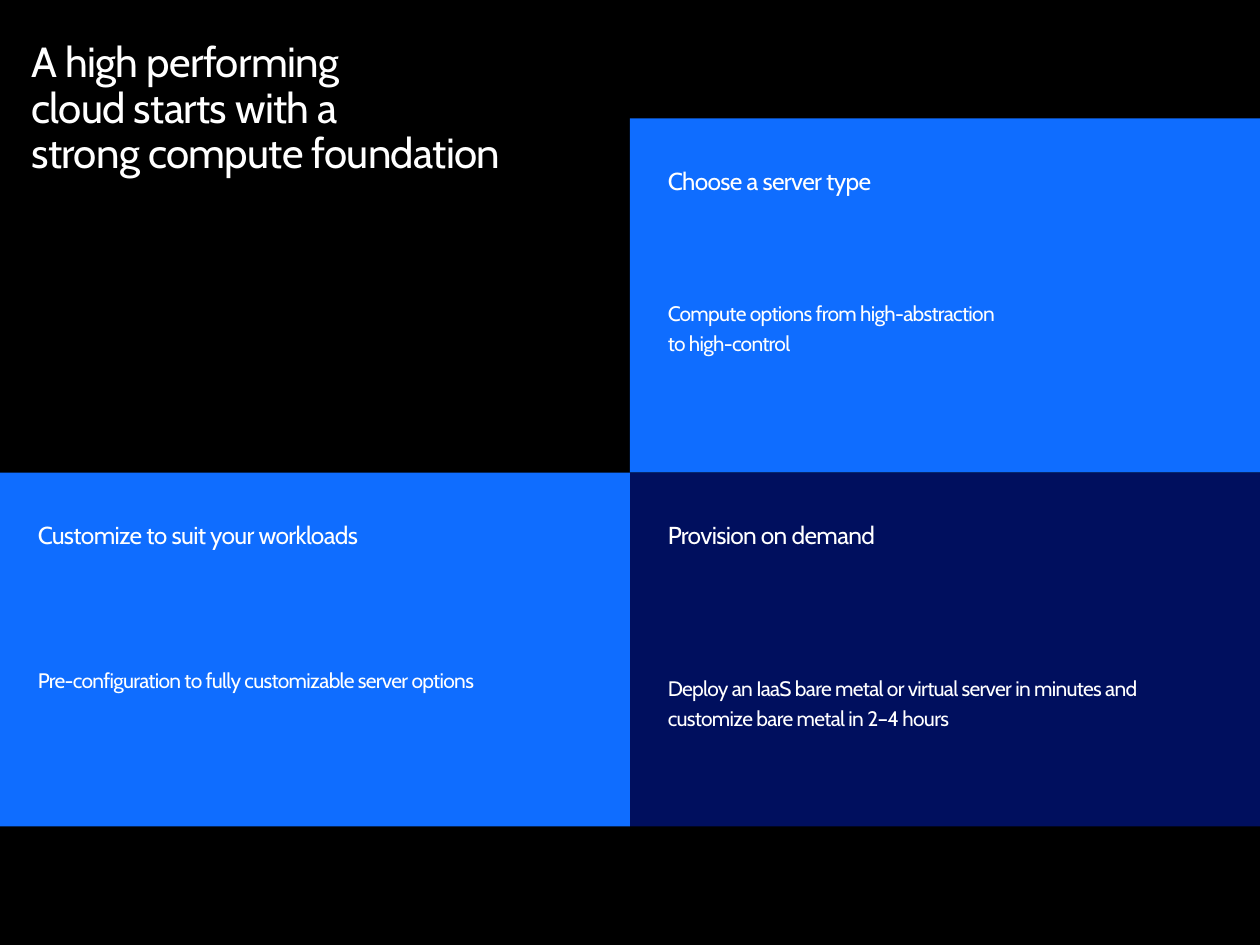
import pptx
import pptx.util
import pptx.dml.color
import pptx.enum.shapes
import pptx.enum.text

Inches = pptx.util.Inches
Pt = pptx.util.Pt
COLORS = {"back": "000000", "blue": "0F6DFF", "navy": "000F5E", "text": "FFFFFF"}
FONT = "Cabin"


def color(name):
    return pptx.dml.color.RGBColor.from_string(COLORS[name])


def frame(shape, side=0, top=0):
    text = shape.text_frame
    text.word_wrap = True
    text.vertical_anchor = pptx.enum.text.MSO_ANCHOR.TOP
    text.margin_left = text.margin_right = Inches(side)
    text.margin_top = text.margin_bottom = Inches(top)
    return text


def write(para, lines, size, spacing=0.9, before=0):
    para.alignment = pptx.enum.text.PP_ALIGN.LEFT
    para.line_spacing = spacing
    para.space_before = Pt(before)
    for i, line in enumerate(lines):
        if i:
            para.add_line_break()
        run = para.add_run()
        run.text = line
        run.font.size = Pt(size)
        run.font.name = FONT
        run.font.color.rgb = color("text")
        # Tighten the letters by 0.4 pt
        run._r.get_or_add_rPr().set("spc", "-40")


def title(slide, left, top, width, height, lines):
    box = slide.shapes.add_textbox(
        Inches(left), Inches(top), Inches(width), Inches(height))
    write(frame(box).paragraphs[0], lines, 24)


def card(slide, left, top, width, height, fill, head, body, spacing, gap):
    box = slide.shapes.add_shape(
        pptx.enum.shapes.MSO_SHAPE.RECTANGLE,
        Inches(left), Inches(top), Inches(width), Inches(height))
    box.shadow.inherit = False
    box.fill.solid()
    box.fill.fore_color.rgb = color(fill)
    box.line.fill.background()
    text = frame(box, 0.3, 0.4)
    write(text.paragraphs[0], [head], 14)
    write(text.add_paragraph(), body, 12, spacing, gap)


def main():
    deck = pptx.Presentation()
    deck.slide_width, deck.slide_height = Inches(10), Inches(7.5)
    slide = deck.slides.add_slide(deck.slide_layouts[6])
    slide.background.fill.solid()
    slide.background.fill.fore_color.rgb = color("back")

    # Title in the open top left quarter
    title(slide, 0.25, 0.33, 4.5, 0.56, [
        "A high performing", "cloud starts with a", "strong compute foundation"])

    # Cards meet at the centre of the slide
    wide, high = 5, 2.81
    mid = 3.75
    cards = [
        (wide, mid, "navy", "Provision on demand",
         ["Deploy an IaaS bare metal or virtual server in minutes and "
          "customize bare metal in 2–4 hours"], 1.2, 69),
        (0, mid, "blue", "Customize to suit your workloads",
         ["Pre-configuration to fully customizable server options"], 0.9, 69),
        (wide, mid - high, "blue", "Choose a server type",
         ["Compute options from high-abstraction", "to high-control"], 1.2, 57),
    ]
    for left, top, *rest in cards:
        card(slide, left, top, wide, high, *rest)

    deck.save("out.pptx")


if __name__ == "__main__":
    main()
